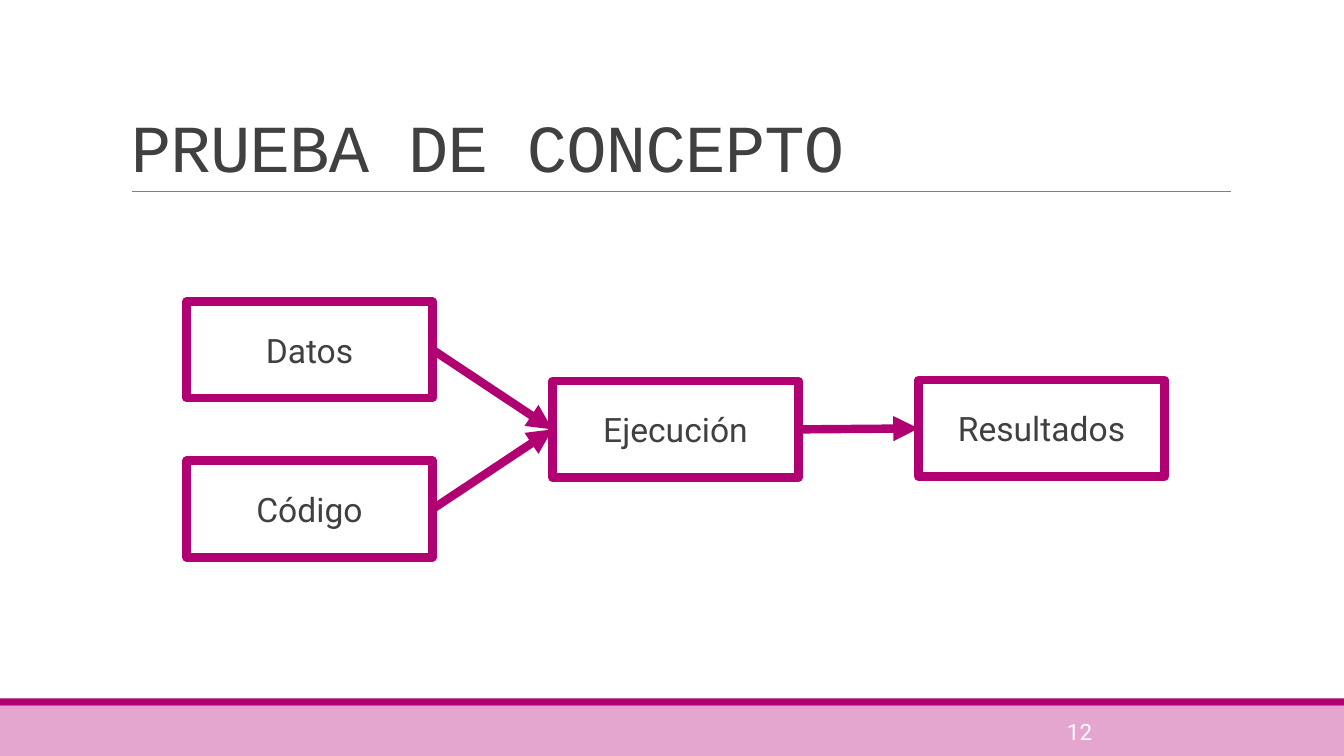
from dataclasses import dataclass

from lxml.etree import SubElement
from pptx import Presentation
from pptx.dml.color import RGBColor
from pptx.enum.shapes import MSO_CONNECTOR as CONNECTOR, MSO_SHAPE as SHAPE
from pptx.enum.text import MSO_ANCHOR as ANCHOR, PP_ALIGN as ALIGN
from pptx.oxml.ns import qn
from pptx.util import Inches, Pt


@dataclass(frozen=True)
class Theme:
    accent: RGBColor = RGBColor.from_string("B10072")
    band: RGBColor = RGBColor.from_string("E4A6CE")
    rule: RGBColor = RGBColor.from_string("808080")
    ink: RGBColor = RGBColor.from_string("404040")
    white: RGBColor = RGBColor.from_string("FFFFFF")
    title_font: str = "Courier New"
    body_font: str = "Roboto"
    title_size: float = 48
    box_size: float = 24
    number_size: float = 16
    stroke: float = 6
    hairline: float = 0.5


THEME = Theme()
SLIDE_W, SLIDE_H = 13.33, 7.5
BOX_W, BOX_H = 2.44, 0.96
BOXES = {
    "Datos": (1.85, 2.99),
    "Código": (1.85, 4.57),
    "Ejecución": (5.48, 3.78),
    "Resultados": (9.11, 3.77),
}
FLOWS = [("Código", "Ejecución"), ("Datos", "Ejecución"), ("Ejecución", "Resultados")]
RIGHT, LEFT = 3, 1


def write(shape, text, size, color, font=THEME.body_font, align=ALIGN.LEFT,
          anchor=ANCHOR.MIDDLE, line_spacing=None, tracking=None):
    """Fill a shape with one formatted line; tracking is in points."""
    tf = shape.text_frame
    tf.word_wrap = True
    tf.vertical_anchor = anchor
    p = tf.paragraphs[0]
    p.alignment = align
    p.line_spacing = line_spacing
    r = p.add_run()
    r.text = text
    r.font.size, r.font.name = Pt(size), font
    r.font.color.rgb = color
    if tracking is not None:
        r.font._element.set("spc", str(round(tracking * 100)))


def add_text(s, left, top, width, height, text, **style):
    tb = s.shapes.add_textbox(Inches(left), Inches(top), Inches(width), Inches(height))
    write(tb, text, **style)


def add_rect(s, left, top, width, height, fill):
    sp = s.shapes.add_shape(SHAPE.RECTANGLE, Inches(left), Inches(top),
                            Inches(width), Inches(height))
    sp.shadow.inherit = False
    sp.fill.solid()
    sp.fill.fore_color.rgb = fill
    sp.line.fill.background()
    return sp


def add_box(s, left, top, text):
    sp = add_rect(s, left, top, BOX_W, BOX_H, THEME.white)
    sp.line.color.rgb = THEME.accent
    sp.line.width = Pt(THEME.stroke)
    SubElement(sp.line._get_or_add_ln(), qn("a:round"))
    write(sp, text, THEME.box_size, THEME.ink, align=ALIGN.CENTER)
    return sp


def add_line(s, color, width, start=(0, 0), end=(0, 0)):
    line = s.shapes.add_connector(CONNECTOR.STRAIGHT, *map(Inches, start + end))
    line.line.color.rgb = color
    line.line.width = Pt(width)
    SubElement(line._element.spPr, qn("a:effectLst"))
    return line


def add_arrow(s, source, target):
    arrow = add_line(s, THEME.accent, THEME.stroke)
    arrow.begin_connect(source, RIGHT)
    arrow.end_connect(target, LEFT)
    SubElement(arrow.line._get_or_add_ln(), qn("a:tailEnd"), type="triangle")


def main():
    prs = Presentation()
    prs.slide_width, prs.slide_height = Inches(SLIDE_W), Inches(SLIDE_H)
    s = prs.slides.add_slide(prs.slide_layouts[6])

    add_rect(s, 0, 7, SLIDE_W, 0.5, THEME.band)
    add_rect(s, 0, 6.93, SLIDE_W, 0.07, THEME.accent)
    add_line(s, THEME.rule, THEME.hairline, (1.31, 1.9), (12.21, 1.9))
    add_text(s, 1.2, 0.31, 11, 1.59, "PRUEBA DE CONCEPTO", size=THEME.title_size,
             color=THEME.ink, font=THEME.title_font, anchor=ANCHOR.BOTTOM,
             line_spacing=0.85, tracking=-0.5)
    add_text(s, 9.5, 7.06, 1.43, 0.4, "12", size=THEME.number_size,
             color=THEME.white, align=ALIGN.RIGHT)

    boxes = {name: add_box(s, *place, name) for name, place in BOXES.items()}
    for source, target in FLOWS:
        add_arrow(s, boxes[source], boxes[target])

    prs.save("out.pptx")


if __name__ == "__main__":
    main()
